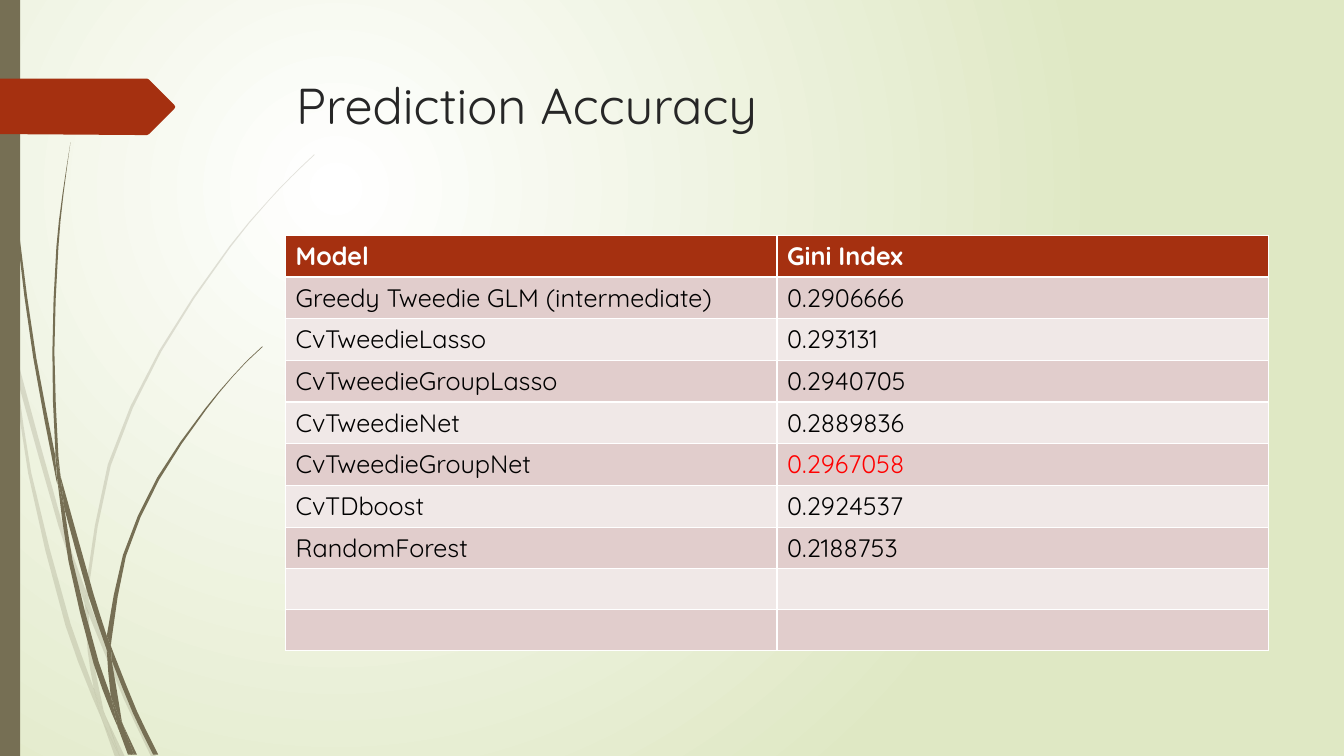
import itertools

import lxml.etree
import pptx
import pptx.dml.color
import pptx.enum.shapes
import pptx.enum.text
import pptx.oxml.ns
import pptx.util

Pt = pptx.util.Pt
RGBColor = pptx.dml.color.RGBColor
qn = pptx.oxml.ns.qn

WHITE = RGBColor(0xFF, 0xFF, 0xFF)
BLACK = RGBColor(0x00, 0x00, 0x00)
RED = RGBColor(0xFF, 0x00, 0x00)
INK = RGBColor(0x26, 0x26, 0x26)
RUST = RGBColor(0xA5, 0x30, 0x10)
OLIVE = RGBColor(0x76, 0x6F, 0x54)
PALE_GREEN = RGBColor(0xDF, 0xE8, 0xC4)
BANDS = (RGBColor(0xE1, 0xCD, 0xCC), RGBColor(0xF0, 0xE8, 0xE7))
FONT = "Quicksand"

# Outlines count in steps of 0.72 pt; each is traced 10 times finer
FINENESS = 10
FINE_STEP = Pt(0.072)
SHORT_REACH = 30

# Each blade is a ring of sides, and each side is a smooth curve through its points
FAINT_BLADES = [
    [[(11, 350), (9, 322), (0, 282)], [(0, 299), (10, 344), (11, 350)]],
    [[(17, 376), (58, 522), (84, 599)], [(85, 586), (62, 520), (14, 345)]],
    [[(88, 610), (123, 694), (150, 751)], [(155, 751), (127, 692), (92, 607), (88, 596)]],
    [[(119, 751), (124, 751)], [(124, 751), (105, 711)]],
    [[(101, 714), (99, 707), (93, 683), (70, 619), (31, 469), (17, 376), (11, 350)],
     [(11, 350), (28, 470), (65, 621), (92, 693), (101, 714)]],
    [[(84, 599), (87, 646), (93, 683), (96, 692), (105, 711)],
     [(103, 706), (91, 646), (88, 610), (88, 608), (84, 599)]],
    [[(88, 596), (88, 584), (110, 462), (160, 349), (229, 245), (268, 198), (290, 175), (312, 154)],
     [(312, 153), (289, 175), (268, 197), (228, 244), (158, 348), (107, 461), (85, 584), (85, 586)]],
    [[(101, 714), (114, 751)], [(119, 751), (101, 714)]],
    [[(88, 610), (88, 596)], [(85, 586), (84, 599)]],
    [[(93, 683), (99, 707), (101, 714), (119, 751)], [(119, 751), (105, 711), (96, 692), (93, 683)]],
]
STRONG_BLADES = [
    [[(3, 0), (4, 48), (7, 110), (17, 233), (33, 355), (56, 477), (57, 481)],
     [(55, 457), (55, 453), (36, 355), (19, 232), (8, 109), (5, 48), (4, 0)]],
    [[(64, 505), (88, 592), (106, 645)], [(106, 633), (106, 631), (93, 590), (60, 472)]],
    [[(111, 656), (132, 708), (152, 749)], [(157, 749), (136, 706), (113, 649), (110, 641)]],
    [[(117, 722), (116, 717), (110, 691), (98, 657), (72, 556), (64, 505), (57, 477)],
     [(57, 477), (68, 557), (93, 659), (111, 708), (117, 722)]],
    [[(60, 472), (58, 453), (54, 349), (58, 245), (63, 193), (70, 141)],
     [(70, 141), (62, 193), (56, 245), (52, 349), (55, 449), (60, 472)]],
    [[(133, 749), (136, 749)], [(136, 749), (122, 719)]],
    [[(57, 477), (64, 505)], [(60, 472), (55, 449)], [(55, 453), (57, 477)]],
    [[(111, 633), (125, 552), (158, 476), (205, 406), (231, 374), (245, 359), (261, 344)],
     [(260, 344), (245, 358), (231, 373), (204, 405), (156, 474), (122, 551), (106, 631)],
     [(106, 631), (110, 641)]],
    [[(117, 722), (127, 749)], [(131, 749), (117, 722)]],
    [[(106, 645), (110, 691), (116, 706), (122, 719)], [(121, 716), (111, 656), (109, 651), (106, 645)]],
    [[(106, 645), (111, 656)], [(110, 641), (106, 631)]],
    [[(110, 691), (116, 717), (117, 722), (130, 749)], [(133, 749), (122, 719), (116, 706), (110, 691)]],
]
FLAG = [(0, 0), (146, 0), (148, 1), (173, 26), (174, 28), (173, 30), (148, 55), (146, 56), (0, 55)]

SCORES = [
    ("Model", "Gini Index"),
    ("Greedy Tweedie GLM (intermediate)", "0.2906666"),
    ("CvTweedieLasso", "0.293131"),
    ("CvTweedieGroupLasso", "0.2940705"),
    ("CvTweedieNet", "0.2889836"),
    ("CvTweedieGroupNet", "0.2967058"),
    ("CvTDboost", "0.2924537"),
    ("RandomForest", "0.2188753"),
    ("", ""),
    ("", ""),
]
BEST_SCORE = "0.2967058"


def smooth(side):
    """Bow each long stretch at its middle, with tangents parallel to the neighbours' chords."""
    knots = [complex(*point) for point in side]
    padded = [knots[0], *knots, knots[-1]]
    headings = [(after - before) / abs(after - before) for before, after in zip(padded, padded[2:])]
    curve = [side[0]]
    for (a, b), (leave, arrive) in zip(itertools.pairwise(knots), itertools.pairwise(headings)):
        reach = abs(b - a)
        if len(knots) > 2 and reach > SHORT_REACH:
            middle = (a + b) / 2 + reach * (leave - arrive) / 8
            curve.append((middle.real, middle.imag))
        curve.append((b.real, b.imag))
    return curve


def paint(shape, color, opacity=100):
    shape.shadow.inherit = False
    shape.line.fill.background()
    shape.fill.solid()
    shape.fill.fore_color.rgb = color
    if opacity < 100:
        shade = shape.fill._xPr.find(".//" + qn("a:srgbClr"))
        lxml.etree.SubElement(shade, qn("a:alpha"), val=str(opacity * 1000))


def draw_outline(shapes, points, left, top, color, opacity=100):
    fine = [(x * FINENESS, y * FINENESS) for x, y in points]
    outline = shapes.build_freeform(*fine[0], scale=FINE_STEP)
    outline.add_line_segments(fine[1:], close=True)
    paint(outline.convert_to_shape(left, top), color, opacity)


def draw_background(slide):
    fill = slide.background.fill
    fill.gradient()
    for stop, color in zip(fill.gradient_stops, (WHITE, PALE_GREEN)):
        stop.color.rgb = color
    gradient = slide._element.find(".//" + qn("a:gradFill"))
    gradient.remove(gradient.find(qn("a:lin")))
    circle = lxml.etree.SubElement(gradient, qn("a:path"), {"path": "circle"})
    lxml.etree.SubElement(circle, qn("a:fillToRect"), l="50000", t="50000", r="100000", b="100000")


def draw_left_edge(slide, left, top, height):
    # Grass, faint blades behind strong ones
    for blades, opacity in ((FAINT_BLADES, 20), (STRONG_BLADES, 100)):
        tuft = slide.shapes.add_group_shape()
        for blade in blades:
            points = list(itertools.chain.from_iterable(smooth(side) for side in blade))
            draw_outline(tuft.shapes, points, left, top, OLIVE, opacity)
    # Side bar and flag
    bar = slide.shapes.add_shape(pptx.enum.shapes.MSO_SHAPE.RECTANGLE, left, top, Pt(14.4), height)
    paint(bar, OLIVE)
    draw_outline(slide.shapes, FLAG, left, top + Pt(56.2), RUST)


def write(paragraph, words, size, color, bold=False):
    run = paragraph.add_run()
    run.text = words
    run.font.name, run.font.size, run.font.bold = FONT, Pt(size), bold
    run.font.color.rgb = color


def place_title(slide, words, left, top, width, height):
    title = slide.shapes.title
    slide.shapes._spTree.append(title._element)  # in front of the grass
    title.left, title.top, title.width, title.height = left, top, width, height
    title.text_frame.vertical_anchor = pptx.enum.text.MSO_ANCHOR.TOP
    heading = title.text_frame.paragraphs[0]
    heading.alignment = pptx.enum.text.PP_ALIGN.LEFT
    write(heading, words, 36, INK)


def place_scores(slide, left, top, width, height):
    # The default table style rules the cells in white
    scores = slide.shapes.add_table(len(SCORES), 2, left, top, width, height).table
    for row, entries in enumerate(SCORES):
        header = row == 0
        for column, words in enumerate(entries):
            cell = scores.cell(row, column)
            cell.fill.solid()
            cell.fill.fore_color.rgb = RUST if header else BANDS[(row - 1) % 2]
            if words:
                color = WHITE if header else RED if words == BEST_SCORE else BLACK
                write(cell.text_frame.paragraphs[0], words, 18, color, header)


def main():
    deck = pptx.Presentation()
    deck.slide_width, deck.slide_height = Pt(960), Pt(540)
    slide = deck.slides.add_slide(deck.slide_layouts[5])
    draw_background(slide)
    draw_left_edge(slide, Pt(0), Pt(0), deck.slide_height)
    place_title(slide, "Prediction Accuracy", Pt(204.4), Pt(49), Pt(702), Pt(100.8))
    place_scores(slide, Pt(204), Pt(168), Pt(702), Pt(292))
    deck.save("out.pptx")


if __name__ == "__main__":
    main()
